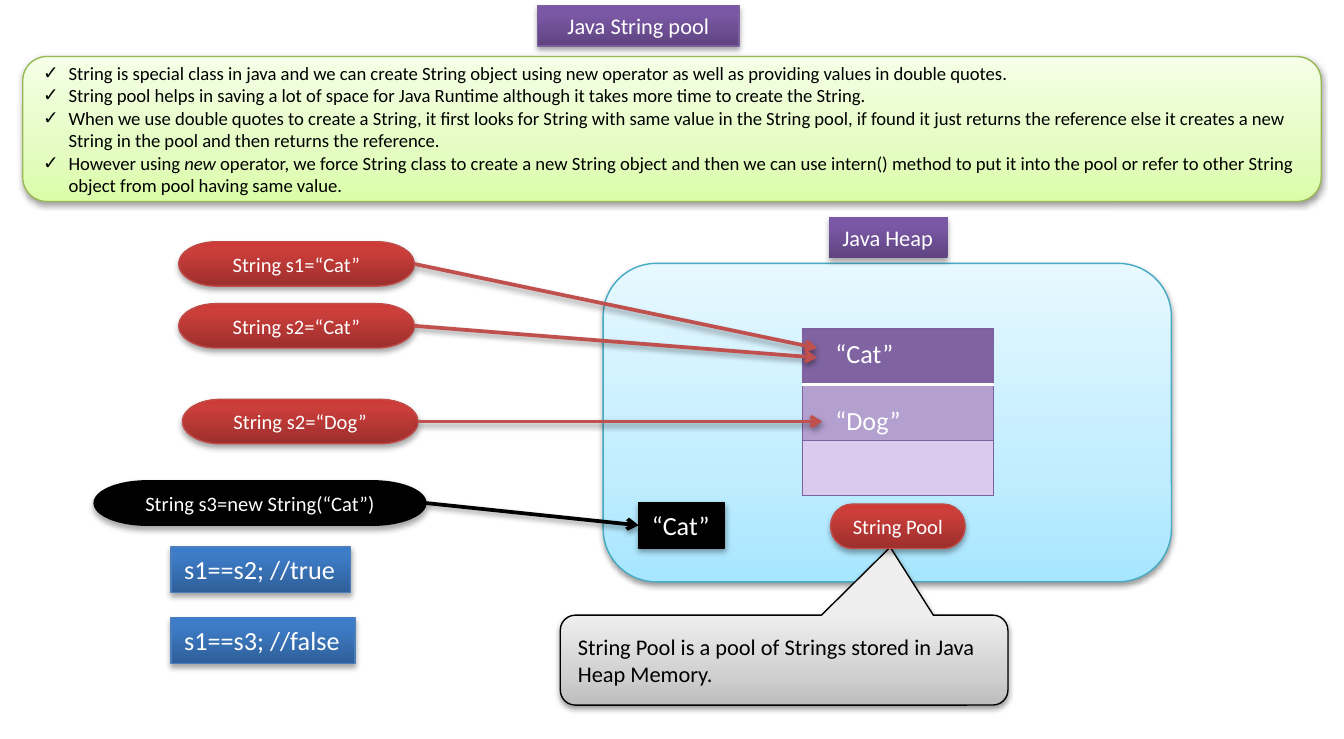
from lxml.etree import SubElement
from pptx import Presentation
from pptx.dml.color import RGBColor
from pptx.enum.shapes import MSO_CONNECTOR, MSO_SHAPE
from pptx.enum.text import MSO_ANCHOR, MSO_AUTO_SIZE, PP_ALIGN
from pptx.oxml.ns import qn
from pptx.util import Cm, Pt

BLACK, WHITE = RGBColor(0, 0, 0), RGBColor(255, 255, 255)
RED_LINE = RGBColor(0xC0, 0x50, 0x4D)
TABLE_LINE = RGBColor(0x7D, 0x60, 0xA0)
ROW_FILLS = [RGBColor(0x80, 0x64, 0xA2), RGBColor(0xB3, 0xA0, 0xCF),
             RGBColor(0xDA, 0xCA, 0xED)]

# Style: gradient stops from bottom to top, outline, shadow opacity, shadow distance
STRONG, SOFT = (0, 80, 100), (0, 35, 100)
STYLES = {
    "purple": (STRONG, ("5F4480", "7B58A6", "7C57A8"), TABLE_LINE),
    "red": (STRONG, ("9C2F2D", "CB3E3A", "CE3B37"), RGBColor(0xBF, 0x4C, 0x48)),
    "blue": (STRONG, ("2F5F99", "3D7CC7", "3A7CCB"), RGBColor(0x4B, 0x7E, 0xBC)),
    "green": (SOFT, ("DAFDA7", "E4FCC2", "F5FFE7"), RGBColor(0x98, 0xB9, 0x55)),
    "sky": (SOFT, ("A7E6FF", "C1EDFF", "E7F8FF"), RGBColor(0x46, 0xAA, 0xC5)),
    "gray": (SOFT, ("BDBDBD", "D1D1D1", "EEEEEE"), BLACK),
    "black": (STRONG, None, BLACK),
}

POINTS = [
    [("String is special class in java and we can create String object using new "
      "operator as well as providing values in double quotes.", False)],
    [("String pool helps in saving a lot of space for Java Runtime although it takes "
      "more time to create the String.", False)],
    [("When we use double quotes to create a String, it first looks for String with "
      "same value in the String pool, if found it just returns the reference else it "
      "creates a new String in the pool and then returns the reference.", False)],
    [("However using ", False), ("new", True),
     (" operator, we force String class to create a new String object and then we can "
      "use intern() method to put it into the pool or refer to other String object "
      "from pool having same value.", False)],
]


def place(sp, x, y, w, h):
    sp.left, sp.top, sp.width, sp.height = Cm(x), Cm(y), Cm(w), Cm(h)


def add_shadow(sp, alpha=38, dist=1.6):
    spPr = sp.element.spPr
    effects = spPr.find(qn("a:effectLst"))
    if effects is None:
        effects = SubElement(spPr, qn("a:effectLst"))
    shadow = SubElement(effects, qn("a:outerShdw"), blurRad=str(Pt(3.1)),
                        dist=str(Pt(dist)), dir="5400000", rotWithShape="0")
    color = SubElement(shadow, qn("a:srgbClr"), val="000000")
    SubElement(color, qn("a:alpha"), val=str(alpha * 1000))


def apply_style(sp, style, outline=True):
    positions, colors, line = STYLES[style]
    if colors:
        sp.fill.gradient()
        sp.fill.gradient_angle = 90
        stops = sp.element.spPr.find(qn("a:gradFill")).find(qn("a:gsLst"))
        for stop in list(stops):
            stops.remove(stop)
        for pos, color in zip(positions, colors):
            stop = SubElement(stops, qn("a:gs"), pos=str(pos * 1000))
            SubElement(stop, qn("a:srgbClr"), val=color)
    else:
        sp.fill.solid()
        sp.fill.fore_color.rgb = BLACK
    if outline:
        sp.line.color.rgb = line
        sp.line.width = Pt(0.75)
    else:
        sp.line.fill.background()
    sp.shadow.inherit = False
    add_shadow(sp, *((35, 1.8) if positions is STRONG else (38, 1.6)))


def set_text(sp, text, size=11, color=WHITE, align=PP_ALIGN.LEFT,
             anchor=MSO_ANCHOR.MIDDLE, wrap=True):
    tf = sp.text_frame
    tf.word_wrap, tf.vertical_anchor = wrap, anchor
    tf.auto_size = MSO_AUTO_SIZE.NONE if wrap else MSO_AUTO_SIZE.SHAPE_TO_FIT_TEXT
    p = tf.paragraphs[0]
    p.alignment = align
    r = p.add_run()
    r.text = text
    r.font.name, r.font.size, r.font.color.rgb = "Calibri", Pt(size), color


def add_box(s, kind, box, style, text="", outline=True, **fmt):
    sp = s.shapes.add_shape(kind, *map(Cm, box))
    apply_style(sp, style, outline)
    if text:
        set_text(sp, text, **fmt)
    return sp


def add_pill(s, box, text, style="red"):
    return add_box(s, MSO_SHAPE.FLOWCHART_TERMINATOR, box, style, text,
                   align=PP_ALIGN.CENTER)


def add_label(s, box, text, style, size=14, outline=True):
    return add_box(s, MSO_SHAPE.RECTANGLE, box, style, text, outline, size=size,
                   anchor=MSO_ANCHOR.TOP, wrap=False)


def add_arrow(s, start, x, y, color):
    """Arrow from the right end of a pill to a point."""
    c = s.shapes.add_connector(MSO_CONNECTOR.STRAIGHT, 0, 0, Cm(x), Cm(y))
    c.begin_connect(start, 3)
    c.line.color.rgb, c.line.width = color, Pt(2)
    SubElement(c.line._get_or_add_ln(), qn("a:tailEnd"), type="arrow")
    add_shadow(c)


def add_header(s, x, y, w):
    # Title
    title = s.shapes.title
    place(title, x + 9.73, y, 3.81, 0.77)
    apply_style(title, "purple")
    set_text(title, "Java String pool", size=12, align=PP_ALIGN.CENTER)

    # Checked list
    body = s.placeholders[1]
    place(body, x, y + 0.97, w, 2.74)
    geom = SubElement(body.element.spPr, qn("a:prstGeom"), prst="roundRect")
    SubElement(geom, qn("a:avLst"))
    apply_style(body, "green")
    tf = body.text_frame
    tf.auto_size, tf.vertical_anchor = MSO_AUTO_SIZE.NONE, MSO_ANCHOR.MIDDLE
    for i, runs in enumerate(POINTS):
        p = tf.paragraphs[0] if i == 0 else tf.add_paragraph()
        pPr = p._p.get_or_add_pPr()
        pPr.set("marL", str(Cm(0.48)))
        pPr.set("indent", str(-Cm(0.48)))
        SubElement(pPr, qn("a:buChar"), char="✓")
        p.alignment, p.space_before = PP_ALIGN.LEFT, Pt(0)
        for text, italic in runs:
            r = p.add_run()
            r.text = text
            r.font.name, r.font.size = "Calibri", Pt(10)
            r.font.color.rgb, r.font.italic = BLACK, italic


def add_pool_table(s, x, y, w, row_h):
    frame = s.shapes.add_table(3, 1, Cm(x), Cm(y), Cm(w), Cm(3 * row_h))
    for i, color in enumerate(ROW_FILLS):
        cell = frame.table.cell(i, 0)
        tcPr = cell._tc.get_or_add_tcPr()
        for side in "LRTB":
            white = (i, side) in ((0, "B"), (1, "T"))
            ln = SubElement(tcPr, qn("a:ln" + side), w=str(Pt(2 if white else 0.75)))
            fill = SubElement(ln, qn("a:solidFill"))
            SubElement(fill, qn("a:srgbClr"), val=str(WHITE if white else TABLE_LINE))
        cell.fill.solid()
        cell.fill.fore_color.rgb = color


def add_heap(s, x, y, w, h):
    add_box(s, MSO_SHAPE.ROUNDED_RECTANGLE, (x, y, w, h), "sky")
    add_label(s, (x + 4.27, y - 0.87, 2.24, 0.77), "Java Heap", "purple", 12, False)
    add_pool_table(s, x + 3.76, y + 1.24, 3.61, 1.05)
    # Note pointing at the pool
    note = add_box(s, MSO_SHAPE.ROUNDED_RECTANGULAR_CALLOUT,
                   (x - 0.81, y + 6.65, 8.46, 1.7), "gray",
                   "String Pool is a pool of Strings stored in Java Heap Memory.",
                   size=12, color=BLACK)
    note.adjustments[0], note.adjustments[1] = 0.237, -1.256
    add_pill(s, (x + 4.3, y + 4.55, 2.54, 0.84), "String Pool")
    add_label(s, (x + 0.67, y + 4.52, 1.63, 0.86), "“Cat”", "black")
    # Pool entries
    for text, dy, width in (("“Cat”", 1.27, 1.63), ("“Dog”", 2.54, 1.75)):
        tb = s.shapes.add_textbox(Cm(x + 4.14), Cm(y + dy), Cm(width), Cm(0.86))
        set_text(tb, text, size=14, anchor=MSO_ANCHOR.TOP, wrap=False)


def add_variables(s, x, y):
    # Text, offset, width, style, arrow target
    rows = [
        ("String s1=“Cat”", 1.6, 0, 4.45, "red", (13.66, 2.01)),
        ("String s2=“Cat”", 1.6, 1.17, 4.45, "red", (13.66, 2.19)),
        ("String s2=“Dog”", 1.67, 2.98, 4.45, "red", (13.76, 3.4)),
        ("String s3=new String(“Cat”)", 0, 4.52, 6.27, "black", (10.29, 5.36)),
    ]
    for text, dx, dy, w, style, (tx, ty) in rows:
        pill = add_pill(s, (x + dx, y + dy, w, 0.84), text, style)
        add_arrow(s, pill, x + tx, y + ty, BLACK if style == "black" else RED_LINE)


def add_comparisons(s, x, y):
    add_label(s, (x, y, 3.4, 0.86), "s1==s2; //true", "blue")
    add_label(s, (x, y + 1.34, 3.48, 0.86), "s1==s3; //false", "blue")


def main():
    prs = Presentation()
    prs.slide_width, prs.slide_height = Cm(25.4), Cm(13.97)
    s = prs.slides.add_slide(prs.slide_layouts[1])
    add_header(s, 0.43, 0.1, 24.54)
    add_heap(s, 11.4, 4.98, 10.74, 6.02)
    add_variables(s, 1.78, 4.57)
    add_comparisons(s, 3.23, 10.34)
    prs.save("out.pptx")


if __name__ == "__main__":
    main()
